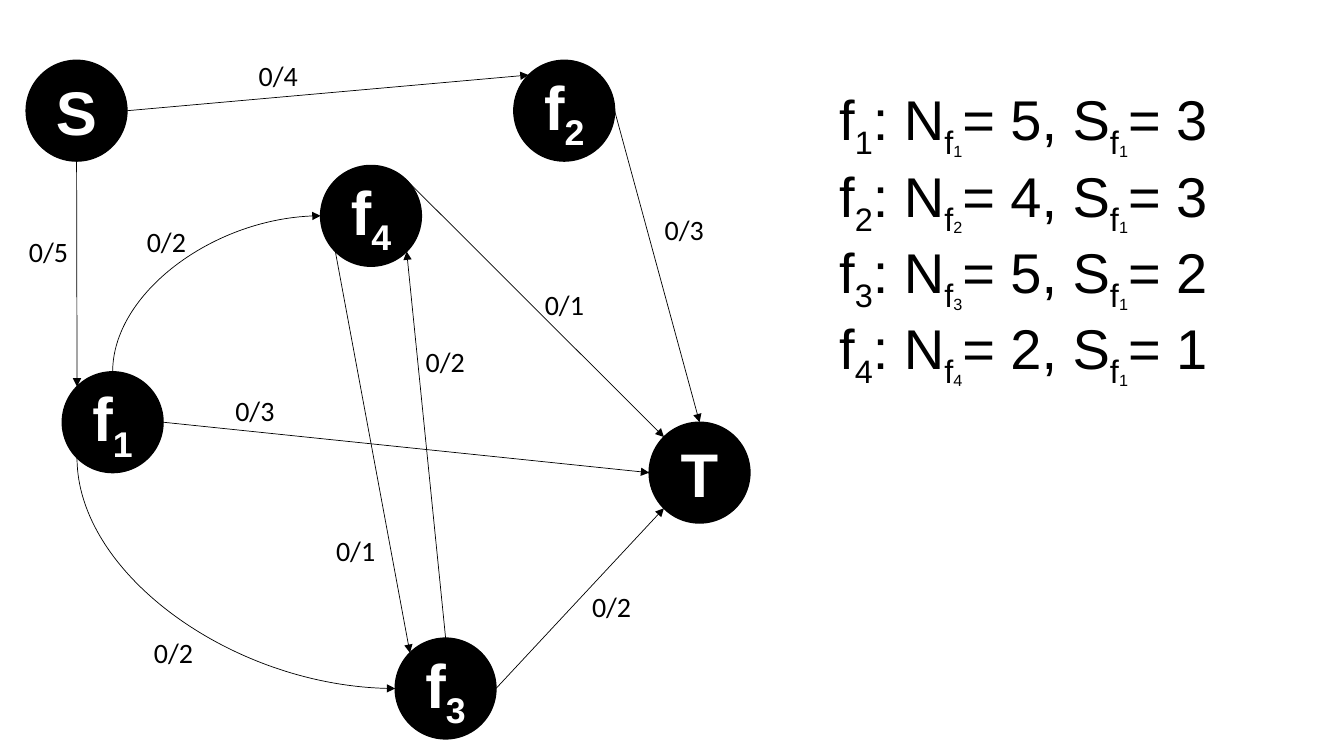
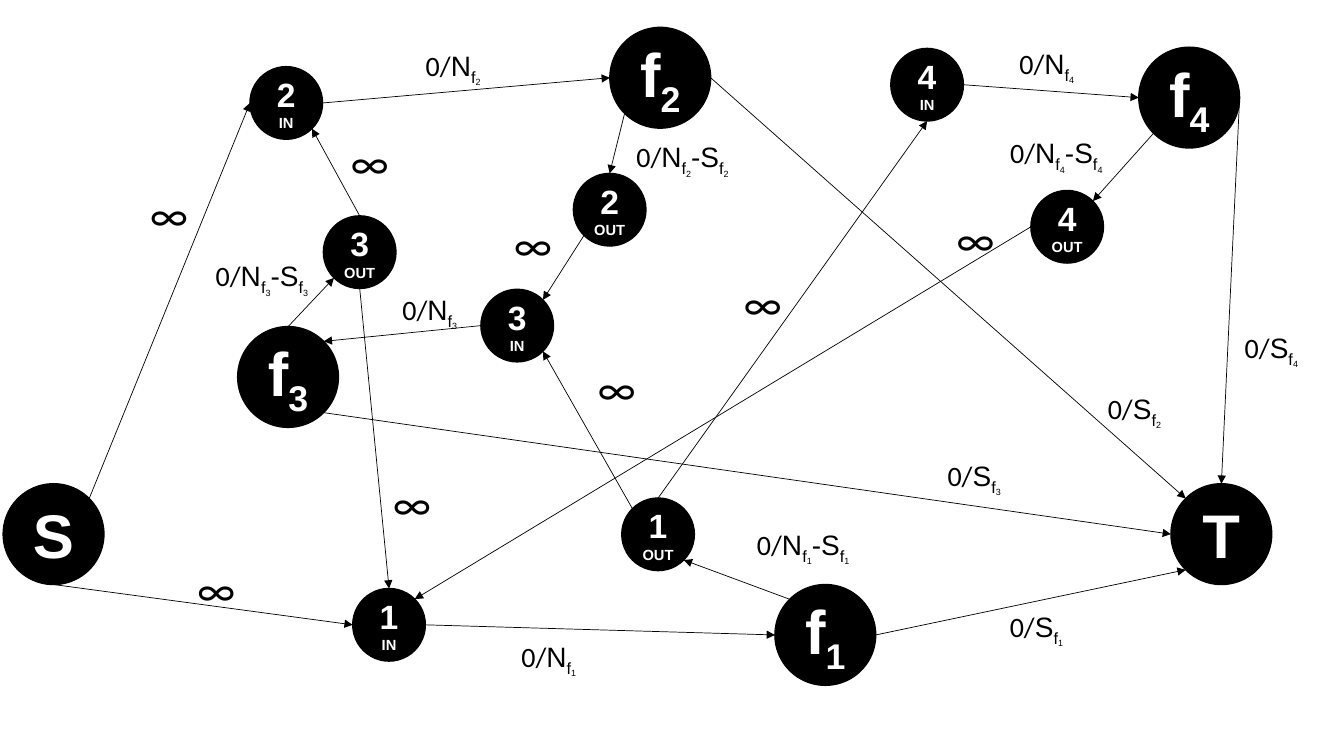
from dataclasses import dataclass
from math import cos, radians, sin

from lxml import etree
from pptx import Presentation
from pptx.dml.color import RGBColor
from pptx.enum.shapes import MSO_CONNECTOR, MSO_SHAPE
from pptx.enum.text import MSO_ANCHOR, MSO_AUTO_SIZE, PP_ALIGN
from pptx.oxml.ns import qn
from pptx.util import Cm, Pt

COLORS = {"ink": "000000", "paper": "FFFFFF"}
SANS, LABEL_FONT = "Arial", "Calibri"
OVAL = MSO_SHAPE.OVAL
STRAIGHT, CURVE = MSO_CONNECTOR.STRAIGHT, MSO_CONNECTOR.CURVE
LEFT, CENTER = PP_ALIGN.LEFT, PP_ALIGN.CENTER
MIDDLE = MSO_ANCHOR.MIDDLE
FIT = MSO_AUTO_SIZE.SHAPE_TO_FIT_TEXT

# Connection sites of an oval, counter-clockwise from the top
TOP, TOP_L, LEFT_, BOT_L, BOTTOM, BOT_R, RIGHT, TOP_R = range(8)

BIG, SMALL = 2.54, 1.83  # node diameters, cm
LABEL_H = 1.12
SUB, SUB_SUB = -25, -60  # baseline shifts, percent


@dataclass(frozen=True)
class Run:
    text: str
    size: float
    font: str = SANS
    shift: int = 0


@dataclass(frozen=True)
class Node:
    name: str
    x: float
    y: float

    @property
    def size(self) -> float:
        return SMALL if " " in self.name else BIG

    def site(self, i: int) -> tuple[float, float]:
        r, angle = self.size / 2, radians(90 + 45 * i)
        return self.x + r + r * cos(angle), self.y + r - r * sin(angle)

    def paragraphs(self) -> list[list[Run]]:
        if " " in self.name:
            number, role = self.name.split()
            return [[Run(number, 24)], [Run(role, 10.5)]]
        letter, index = self.name[0], self.name[1:]
        return [[Run(letter, 44)] + [Run(c, 44, shift=SUB) for c in index]]


@dataclass(frozen=True)
class Edge:
    start: str
    start_site: int
    end: str
    end_site: int
    curved: bool = False


@dataclass(frozen=True)
class Label:
    runs: list[Run]
    x: float
    y: float
    w: float
    h: float = LABEL_H


def color(name: str) -> RGBColor:
    return RGBColor.from_string(COLORS[name])


def quantity(letter: str, index: str, size: float, small: float) -> list[Run]:
    """Runs of a letter with subscript f, which has its own subscript."""
    return [Run(letter, size), Run("f", size, shift=SUB),
            Run(index, small, shift=SUB_SUB)]


def flow(text: str, x: float, y: float) -> Label:
    return Label([Run(text, 20, LABEL_FONT)], x, y, 1.63)


def capacity(letters: tuple[str, ...], index: str, x: float, y: float) -> Label:
    runs = [Run("0/", 20, LABEL_FONT)]
    for letter in letters:
        runs += quantity(letter, index, 20, 11)
    return Label(runs, x, y, 3.02 if len(letters) == 1 else 3.76)


def write(tf, paragraphs: list[list[Run]], ink: str, align, bold=False) -> None:
    for i, runs in enumerate(paragraphs):
        p = tf.paragraphs[0] if i == 0 else tf.add_paragraph()
        p.alignment = align
        for run in runs:
            r = p.add_run()
            r.text = run.text
            r.font.size, r.font.name, r.font.bold = Pt(run.size), run.font, bold
            r.font.color.rgb = color(ink)
            if run.shift:
                r.font._element.set("baseline", str(run.shift * 1000))


def add_text(s, x: float, y: float, w: float, h: float,
             paragraphs: list[list[Run]], align, wrap=True) -> None:
    tf = s.shapes.add_textbox(Cm(x), Cm(y), Cm(w), Cm(h)).text_frame
    tf.word_wrap = wrap
    tf.auto_size = FIT
    write(tf, paragraphs, "ink", align)


def add_node(s, node: Node):
    sp = s.shapes.add_shape(OVAL, Cm(node.x), Cm(node.y),
                            Cm(node.size), Cm(node.size))
    sp.shadow.inherit = False
    sp.fill.solid()
    sp.fill.fore_color.rgb = color("ink")
    sp.line.color.rgb = color("ink")
    sp.line.width = Pt(1)
    tf = sp.text_frame
    tf.word_wrap = True
    tf.vertical_anchor = MIDDLE
    tf.margin_left = tf.margin_right = tf.margin_top = tf.margin_bottom = 0
    write(tf, node.paragraphs(), "paper", CENTER, bold=True)
    return sp


def add_quarter_curve(s, x1: float, y1: float, x2: float, y2: float):
    """Curve to the right that leaves vertically and arrives horizontally."""
    cx, cy = (x1 + x2) / 2, (y1 + y2) / 2
    half_w, half_h = abs(y2 - y1) / 2, (x2 - x1) / 2
    down = y2 > y1
    if down:
        half_h = -half_h
    cxn = s.shapes.add_connector(CURVE, Cm(cx + half_w), Cm(cy + half_h),
                                 Cm(cx - half_w), Cm(cy - half_h))
    sp_pr = cxn._element.spPr
    sp_pr.find(qn("a:xfrm")).set("rot", str((270 if down else 90) * 60000))
    sp_pr.find(qn("a:prstGeom")).set("prst", "curvedConnector2")
    return cxn


def add_edge(s, edge: Edge, nodes: dict[str, Node], ovals: dict) -> None:
    ends = (*nodes[edge.start].site(edge.start_site),
            *nodes[edge.end].site(edge.end_site))
    if edge.curved:
        cxn = add_quarter_curve(s, *ends)
    else:
        cxn = s.shapes.add_connector(STRAIGHT, *(Cm(v) for v in ends))
    cxn.line.color.rgb = color("ink")
    cxn.line.width = Pt(0.5)
    sp_pr = cxn._element.spPr
    etree.SubElement(sp_pr.find(qn("a:ln")), qn("a:tailEnd"), type="triangle")
    etree.SubElement(sp_pr, qn("a:effectLst"))
    glue = cxn._element.nvCxnSpPr.cNvCxnSpPr
    for tag, name, site in (("a:stCxn", edge.start, edge.start_site),
                            ("a:endCxn", edge.end, edge.end_site)):
        etree.SubElement(glue, qn(tag), id=str(ovals[name].shape_id),
                         idx=str(site))


def add_graph(prs, nodes: list[Node], edges: list[Edge], labels: list[Label]):
    s = prs.slides.add_slide(prs.slide_layouts[6])
    by_name = {node.name: node for node in nodes}
    ovals = {node.name: add_node(s, node) for node in nodes}
    for edge in edges:
        add_edge(s, edge, by_name, ovals)
    for label in labels:
        add_text(s, label.x, label.y, label.w, label.h, [label.runs], CENTER)
    return s


FLOW_NODES = [
    Node("S", 0.66, 1.52), Node("T", 16.36, 10.64), Node("f1", 1.57, 9.37),
    Node("f2", 12.95, 1.52), Node("f3", 9.96, 16.08), Node("f4", 8.08, 4.17),
]
FLOW_EDGES = [
    Edge("f1", BOT_L, "f3", LEFT_, curved=True),
    Edge("f1", TOP, "f4", LEFT_, curved=True),
    Edge("S", RIGHT, "f2", TOP_L),
    Edge("S", BOTTOM, "f1", TOP_L),
    Edge("f1", RIGHT, "T", LEFT_),
    Edge("f2", RIGHT, "T", TOP),
    Edge("f3", RIGHT, "T", BOT_L),
    Edge("f4", TOP_R, "T", TOP_L),
    Edge("f4", BOT_L, "f3", TOP_L),
    Edge("f3", TOP, "f4", BOT_R),
]
FLOW_LABELS = [
    flow("0/5", 0.41, 5.79), flow("0/4", 6.2, 1.35), flow("0/3", 5.61, 9.78),
    flow("0/3", 16.43, 5.23), flow("0/1", 13.41, 7.11),
    flow("0/2", 14.6, 14.73), flow("0/2", 3.38, 5.54),
    flow("0/2", 3.56, 15.88), flow("0/1", 8.15, 13.31),
    flow("0/2", 10.41, 8.56),
]
# Values of N and S for f1 to f4
FACTS = [("5", "3"), ("4", "3"), ("5", "2"), ("2", "1")]

SPLIT_NODES = [
    Node("S", 0.08, 12.19), Node("T", 29.51, 12.19),
    Node("f1", 19.53, 14.73), Node("1 IN", 8.89, 14.83),
    Node("1 OUT", 15.67, 12.55),
    Node("f2", 15.37, 0.69), Node("2 IN", 6.3, 1.68),
    Node("2 OUT", 14.45, 4.37),
    Node("f3", 5.99, 8.23), Node("3 IN", 12.12, 7.29),
    Node("3 OUT", 8.15, 5.44),
    Node("f4", 28.7, 1.19), Node("4 IN", 22.45, 1.22),
    Node("4 OUT", 25.98, 4.8),
]
SPLIT_EDGES = [
    Edge("S", BOTTOM, "1 IN", LEFT_), Edge("S", TOP_R, "2 IN", LEFT_),
    Edge("1 IN", RIGHT, "f1", LEFT_), Edge("f1", TOP_L, "1 OUT", BOT_R),
    Edge("2 IN", RIGHT, "f2", LEFT_), Edge("f2", BOT_L, "2 OUT", TOP),
    Edge("3 IN", LEFT_, "f3", TOP_R), Edge("f3", TOP, "3 OUT", BOT_L),
    Edge("4 IN", RIGHT, "f4", LEFT_), Edge("f4", BOT_L, "4 OUT", TOP_R),
    Edge("f1", RIGHT, "T", BOT_L), Edge("f2", RIGHT, "T", TOP_L),
    Edge("f3", BOT_R, "T", LEFT_), Edge("f4", RIGHT, "T", TOP),
    Edge("1 OUT", TOP_L, "3 IN", BOT_R), Edge("1 OUT", TOP, "4 IN", BOTTOM),
    Edge("2 OUT", BOT_L, "3 IN", TOP_R), Edge("3 OUT", TOP, "2 IN", BOT_R),
    Edge("3 OUT", BOTTOM, "1 IN", TOP), Edge("4 OUT", LEFT_, "1 IN", TOP_R),
]
# Label positions for f1 to f4, by the letters that each label shows
CAPACITIES = {
    ("N",): [(12.32, 15.98), (9.91, 1.09), (9.32, 7.24), (24.87, 1.04)],
    ("S",): [(24.61, 15.24), (27.08, 9.73), (23.04, 11.43), (30.53, 8.2)],
    ("N", "-S"): [(18.36, 13.16), (15.32, 3.4), (4.72, 6.4), (24.74, 3.3)],
}
UNBOUNDED = [(3.53, 4.57), (4.72, 14.02), (18.49, 6.83), (14.81, 8.97),
             (23.85, 5.21), (12.7, 5.33), (9.65, 11.86), (8.59, 3.28)]


def fact_line(index: str, n: str, s_value: str) -> list[Run]:
    return [Run("f", 40), Run(index, 40, shift=SUB),
            *quantity(": N", index, 40, 20),
            *quantity(f"= {n}, S", "1", 40, 20), Run(f"= {s_value}", 40)]


def main() -> None:
    prs = Presentation()
    prs.slide_width, prs.slide_height = Cm(33.87), Cm(19.05)

    s = add_graph(prs, FLOW_NODES, FLOW_EDGES, FLOW_LABELS)
    facts = [fact_line(str(i), *values) for i, values in enumerate(FACTS, 1)]
    add_text(s, 20.9, 2.01, 11.2, 7.09, facts, LEFT)

    labels = [capacity(letters, str(i), x, y)
              for letters, places in CAPACITIES.items()
              for i, (x, y) in enumerate(places, 1)]
    s = add_graph(prs, SPLIT_NODES, SPLIT_EDGES, labels)
    for x, y in UNBOUNDED:
        add_text(s, x, y, 1.47, 1.63, [[Run("∞", 32, LABEL_FONT)]], LEFT,
                 wrap=False)

    prs.save("out.pptx")


if __name__ == "__main__":
    main()
